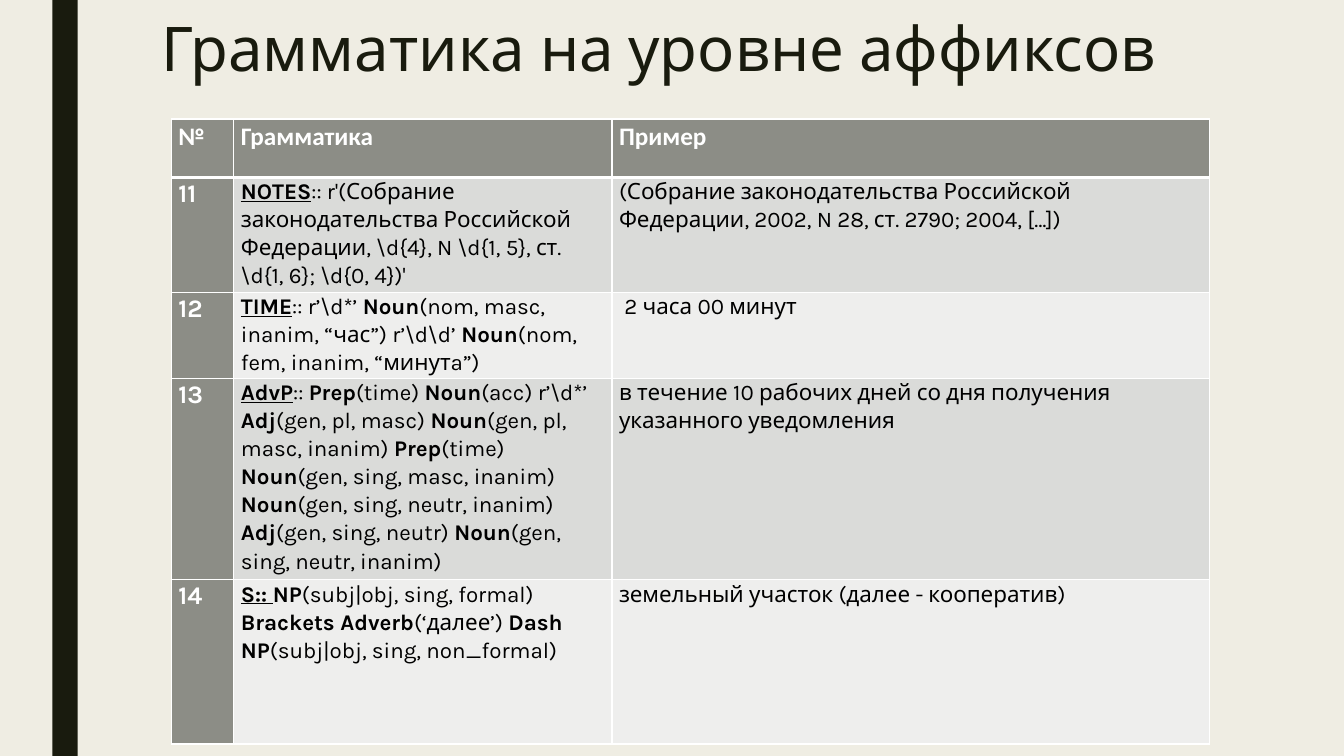
from lxml import etree
from pptx import Presentation
from pptx.dml.color import RGBColor
from pptx.enum import shapes, text
from pptx.oxml import ns
from pptx.util import Inches, Pt

TITLE = "Грамматика на уровне аффиксов"
HEAD = ["№", "Грамматика", "Пример"]
# Segments between "~" alternate bold and regular; the first is underlined.
RULES = [
    ("11",
     r"NOTES~:: r'(Собрание законодательства Российской Федерации, "
     r"\d{4}, N \d{1, 5}, ст. \d{1, 6}; \d{0, 4})'",
     "(Собрание законодательства Российской Федерации, 2002, N 28, "
     "ст. 2790; 2004, […])"),
    ("12",
     r"TIME~:: r’\d*’ ~Noun~(nom, masc, inanim, “час”) r’\d\d’ "
     "~Noun~(nom, fem, inanim, “минутa”)",
     " 2 часа 00 минут"),
    ("13",
     r"AdvP~:: ~Prep~(time) ~Noun~(acc) r’\d*’ ~Adj~(gen, pl, masc) "
     "~Noun~(gen, pl, masc, inanim) ~Prep~(time) "
     "~Noun~(gen, sing, masc, inanim) ~Noun~(gen, sing, neutr, inanim) "
     "~Adj~(gen, sing, neutr) ~Noun~(gen, sing, neutr, inanim)",
     "в течение 10 рабочих дней со дня получения указанного уведомления"),
    ("14",
     "S:: ~~NP~(subj|obj, sing, formal) ~Brackets Adverb~(‘далее’) "
     "~Dash NP~(subj|obj, sing, non_formal)",
     "земельный участок (далее - кооператив)"),
]
COLS = [0.62, 3.75, 5.93]
ROWS = [0.58, 0.86, 0.65, 1.63, 1.63]
HEX = {"back": "EFEDE3", "dark": "191B0E", "head": "8C8D86",
       "odd": "DADBD9", "even": "EEEEED", "white": "FFFFFF", "black": "000000"}


def color(name):
    return RGBColor.from_string(HEX[name])


def style(par, size, tone, face="Karla", bold=None, gap=1.07):
    par.line_spacing = gap
    font = par.font
    font.size, font.name, font.bold = Pt(size), face, bold
    font.color.rgb = color(tone)


def border(cell, base):
    props = cell._tc.get_or_add_tcPr()
    for side, width in (("L", 1), ("R", 1), ("T", 1), ("B", base)):
        line = etree.SubElement(props, ns.qn("a:ln" + side), w=str(Pt(width)))
        fill = etree.SubElement(line, ns.qn("a:solidFill"))
        etree.SubElement(fill, ns.qn("a:srgbClr"), val=HEX["white"])


def frame(cell, tone, base=1):
    border(cell, base)
    cell.fill.solid()
    cell.fill.fore_color.rgb = color(tone)
    cell.margin_left = cell.margin_right = Inches(0.07)
    cell.margin_top = cell.margin_bottom = 0
    return cell.text_frame.paragraphs[0]


def add_rule(par, rule):
    for i, part in enumerate(rule.split("~")):
        if part:
            run = par.add_run()
            run.text = part
            run.font.bold = i % 2 == 0
            run.font.underline = i == 0


def add_title(slide):
    box = slide.shapes.add_textbox(*map(Inches, (1.5, 0.14, 10.5, 0.86)))
    box.text_frame.word_wrap = True
    box.text_frame.vertical_anchor = text.MSO_ANCHOR.TOP
    par = box.text_frame.paragraphs[0]
    par.text = TITLE
    style(par, 44, "dark", gap=0.89)


def add_rules(slide):
    size = (1.7, 1.18, sum(COLS), sum(ROWS))
    table = slide.shapes.add_table(len(ROWS), len(COLS), *map(Inches, size)).table
    for col, width in zip(table.columns, COLS):
        col.width = Inches(width)
    for row, height in zip(table.rows, ROWS):
        row.height = Inches(height)
    for c, label in enumerate(HEAD):
        par = frame(table.cell(0, c), "head", 3)
        par.text = label
        style(par, 18, "white", "Calibri", True)
    for r, (num, rule, sample) in enumerate(RULES, 1):
        band = "odd" if r % 2 else "even"
        par = frame(table.cell(r, 0), "head")
        par.text = num
        style(par, 18, "white", bold=True)
        par = frame(table.cell(r, 1), band)
        add_rule(par, rule)
        style(par, 16, "black")
        par = frame(table.cell(r, 2), band)
        par.text = sample
        style(par, 16, "black")


def main():
    deck = Presentation()
    deck.slide_width, deck.slide_height = Inches(13.33), Inches(7.5)
    slide = deck.slides.add_slide(deck.slide_layouts[6])
    slide.background.fill.solid()
    slide.background.fill.fore_color.rgb = color("back")
    bar = slide.shapes.add_shape(
        shapes.MSO_SHAPE.RECTANGLE, Inches(0.52), 0, Inches(0.25), deck.slide_height)
    bar.shadow.inherit = False
    bar.fill.solid()
    bar.fill.fore_color.rgb = color("dark")
    bar.line.fill.background()
    add_title(slide)
    add_rules(slide)
    deck.save("out.pptx")


if __name__ == "__main__":
    main()
